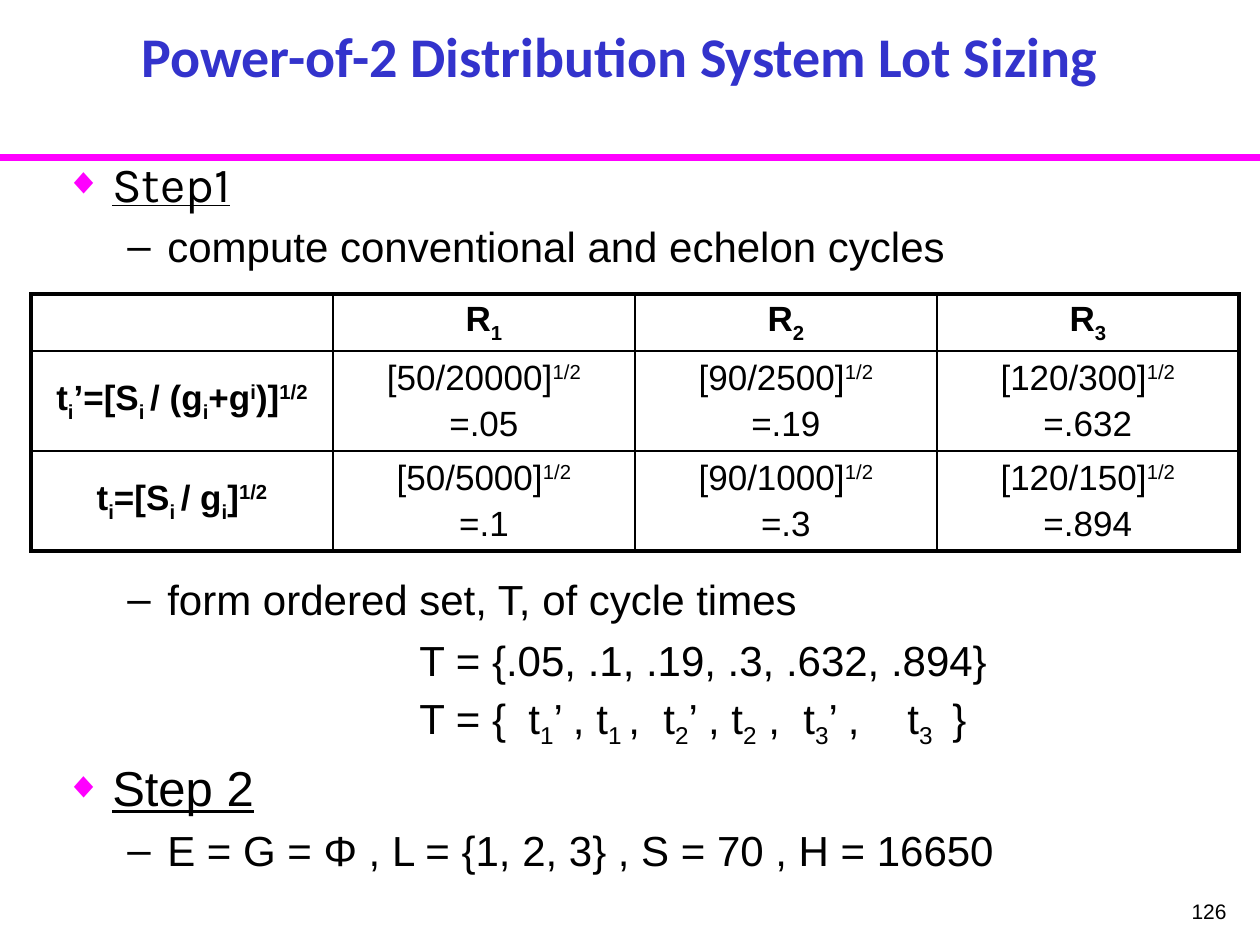
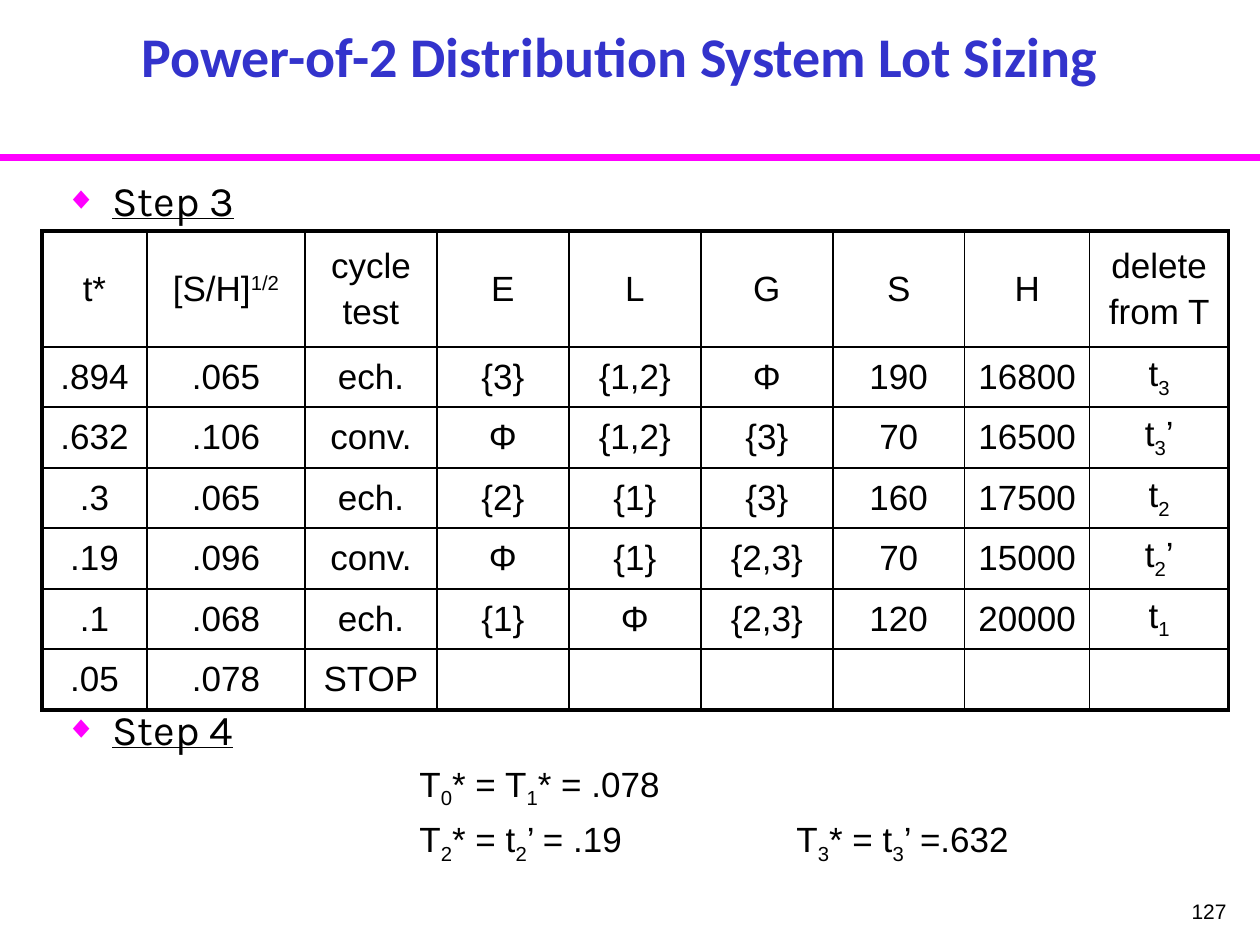
"""Build two slides on power-of-2 lot sizing in a distribution system."""
import pptx
import pptx.util
import pptx.dml.color
import pptx.enum.shapes
import pptx.enum.text
import pptx.oxml
import pptx.oxml.ns
import lxml.etree

EMU_PER_PX = 914400 / 126
COLORS = {"title": "3333CC", "accent": "FF00FF", "text": "000000"}
ALIGN = pptx.enum.text.PP_ALIGN
ANCHOR = pptx.enum.text.MSO_ANCHOR
Pt = pptx.util.Pt
qn = pptx.oxml.ns.qn
BASELINES = {"_": "-25000", "^": "30000"}


def px(n):
    return pptx.util.Emu(round(n * EMU_PER_PX))


def write(p, text, size=20, font="Arial", color="text", bold=False, underline=False, align=None, before=0):
    """Fill a paragraph; pieces between bars starting with _ or ^ are lowered or raised."""
    p.alignment = align
    p.space_before = Pt(before)
    for piece in text.split("|"):
        r = p.add_run()
        if piece[:1] in BASELINES:
            r._r.get_or_add_rPr().set("baseline", BASELINES[piece[0]])
            piece = piece[1:]
        r.text = piece
        r.font.size = Pt(size)
        r.font.name = font
        r.font.bold = bold
        r.font.underline = underline
        r.font.color.rgb = pptx.dml.color.RGBColor.from_string(COLORS[color])


LEVELS = {
    "step": {"margin": 47, "indent": -48, "bullet": "◆", "color": "accent", "scale": "75000"},
    "item": {"margin": 102, "indent": -40, "bullet": "–", "color": "text", "scale": "100000"},
}

SLIDES = [
    {
        "number": "126",
        "body_top": 147,
        "body_height": 777,
        "body": [
            ("step", "Step1", 28, "Karla", 0),
            ("item", "compute conventional and echelon cycles", 24, "Arial", 5),
            ("item", "form ordered set, T, of cycle times", 24, "Arial", 173),
            ("step", "Step 2", 28, "Arial", 76),
            ("item", "E = G = Φ , L = {1, 2, 3} , S = 70 , H = 16650", 24, "Arial", 5),
        ],
        "formula_top": 628,
        "formula_size": 24,
        "tabs": [109, 244, 384, 488, 533],
        "formulas": [
            "T = {.05, .1, .19, .3, .632, .894}",
            "T = {\tt|_1|’ , t|_1 |,\tt|_2|’ , t|_2| ,\tt|_3|’ ,\tt|_3|\t}",
        ],
        "table_at": (31, 294),
        "cols": [302] * 4,
        "rows": [57, 100, 100],
        "bold_heads": True,
        "cells": [
            ["", "R|_1", "R|_2", "R|_3"],
            ["t|_i|’=[S|_i |/ (g|_i|+g|^i|)]|^1/2", "[50/20000]|^1/2\n=.05",
             "[90/2500]|^1/2\n=.19", "[120/300]|^1/2\n=.632"],
            ["t|_i|=[S|_i |/ g|_i|]|^1/2", "[50/5000]|^1/2\n=.1",
             "[90/1000]|^1/2\n=.3", "[120/150]|^1/2\n=.894"],
        ],
    },
    {
        "number": "127",
        "body_top": 168,
        "body_height": 756,
        "body": [
            ("step", "Step 3", 24, "Karla", 0),
            ("step", "Step 4", 24, "Karla", 273.5),
        ],
        "formula_top": 756,
        "formula_size": 20,
        "tabs": [377],
        "formulas": [
            "T|_0|* = T|_1|* = .078",
            "T|_2|* = t|_2|’ = .19\tT|_3|* = t|_3|’ =.632",
        ],
        "table_at": (42, 231),
        "cols": [105, 158] + [132] * 5 + [125, 139],
        "rows": [116] + [60, 61] * 3,
        "bold_heads": False,
        "cells": [
            ["t*", "[S/H]|^1/2", "cycle\ntest", "E", "L", "G", "S", "H", "delete\nfrom T"],
            [".894", ".065", "ech.", "{3}", "{1,2}", "Φ", "190", "16800", "t|_3"],
            [".632", ".106", "conv.", "Φ", "{1,2}", "{3}", "70", "16500", "t|_3|’"],
            [".3", ".065", "ech.", "{2}", "{1}", "{3}", "160", "17500", "t|_2"],
            [".19", ".096", "conv.", "Φ", "{1}", "{2,3}", "70", "15000", "t|_2|’"],
            [".1", ".068", "ech.", "{1}", "Φ", "{2,3}", "120", "20000", "t|_1"],
            [".05", ".078", "STOP"] + [""] * 6,
        ],
    },
]

prs = pptx.Presentation()
prs.slide_width, prs.slide_height = px(1260), px(945)

for data in SLIDES:
    s = prs.slides.add_slide(prs.slide_layouts[5])

    rule = s.shapes.add_connector(pptx.enum.shapes.MSO_CONNECTOR.STRAIGHT, 0, px(158), px(1260), px(158))
    rule.line.width = Pt(4)
    rule.line.color.rgb = pptx.dml.color.RGBColor.from_string(COLORS["accent"])
    lxml.etree.SubElement(rule._element.spPr, qn("a:effectLst"))

    title = s.shapes.title
    title.left, title.top, title.width, title.height = px(84), px(1), px(1071), px(94)
    tf = title.text_frame
    tf.auto_size = pptx.enum.text.MSO_AUTO_SIZE.NONE
    tf.vertical_anchor = ANCHOR.BOTTOM
    write(tf.paragraphs[0], "Power-of-2 Distribution System Lot Sizing",
          size=32, font="Calibri", color="title", bold=True, align=ALIGN.CENTER)

    tf = s.shapes.add_textbox(px(977), px(892), px(262), px(53)).text_frame
    tf.word_wrap = True
    write(tf.paragraphs[0], data["number"], size=12, align=ALIGN.RIGHT)

    body = s.shapes.add_textbox(px(53), px(data["body_top"]), px(1144), px(data["body_height"]))
    tf = body.text_frame
    tf.word_wrap = True
    for i, (kind, text, size, font, before) in enumerate(data["body"]):
        p = tf.add_paragraph() if i else tf.paragraphs[0]
        level = LEVELS[kind]
        pPr = p._p.get_or_add_pPr()
        pPr.set("marL", str(px(level["margin"])))
        pPr.set("indent", str(px(level["indent"])))
        clr = lxml.etree.SubElement(pPr, qn("a:buClr"))
        lxml.etree.SubElement(clr, qn("a:srgbClr"), val=COLORS[level["color"]])
        lxml.etree.SubElement(pPr, qn("a:buSzPct"), val=level["scale"])
        lxml.etree.SubElement(pPr, qn("a:buFont"), typeface="Arial")
        lxml.etree.SubElement(pPr, qn("a:buChar"), char=level["bullet"])
        write(p, text, size=size, font=font, underline=kind == "step", before=before)

    tf = s.shapes.add_textbox(px(407), px(data["formula_top"]), px(790), px(126)).text_frame
    tf.word_wrap = True
    for i, text in enumerate(data["formulas"]):
        p = tf.add_paragraph() if i else tf.paragraphs[0]
        tabs = lxml.etree.SubElement(p._p.get_or_add_pPr(), qn("a:tabLst"))
        for stop in data["tabs"]:
            lxml.etree.SubElement(tabs, qn("a:tab"), pos=str(px(stop)), algn="l")
        write(p, text, size=data["formula_size"], before=4.5 if i else 0)

    left, top = data["table_at"]
    cols, rows = data["cols"], data["rows"]
    table = s.shapes.add_table(len(rows), len(cols), px(left), px(top), px(sum(cols)), px(sum(rows))).table
    table.first_row = table.horz_banding = False
    for col, width in zip(table.columns, cols):
        col.width = px(width)
    for row, height in zip(table.rows, rows):
        row.height = px(height)
    for i, texts in enumerate(data["cells"]):
        for j, text in enumerate(texts):
            cell = table.cell(i, j)
            cell.vertical_anchor = ANCHOR.MIDDLE
            cell.margin_top = cell.margin_bottom = px(4)
            tcPr = cell._tc.get_or_add_tcPr()
            outer = {"L": j == 0, "R": j == len(cols) - 1, "T": i == 0, "B": i == len(rows) - 1}
            for side, is_outer in outer.items():
                width = Pt(2.25) if is_outer else Pt(1)
                ln = lxml.etree.SubElement(tcPr, qn("a:ln" + side), w=str(width))
                fill = lxml.etree.SubElement(ln, qn("a:solidFill"))
                lxml.etree.SubElement(fill, qn("a:srgbClr"), val=COLORS["text"])
            cell.fill.background()
            if not text:
                continue
            tf = cell.text_frame
            for k, line in enumerate(text.split("\n")):
                p = tf.add_paragraph() if k else tf.paragraphs[0]
                write(p, line, bold=data["bold_heads"] and 0 in (i, j),
                      align=ALIGN.CENTER, before=4 if k else 0)

prs.save("out.pptx")
